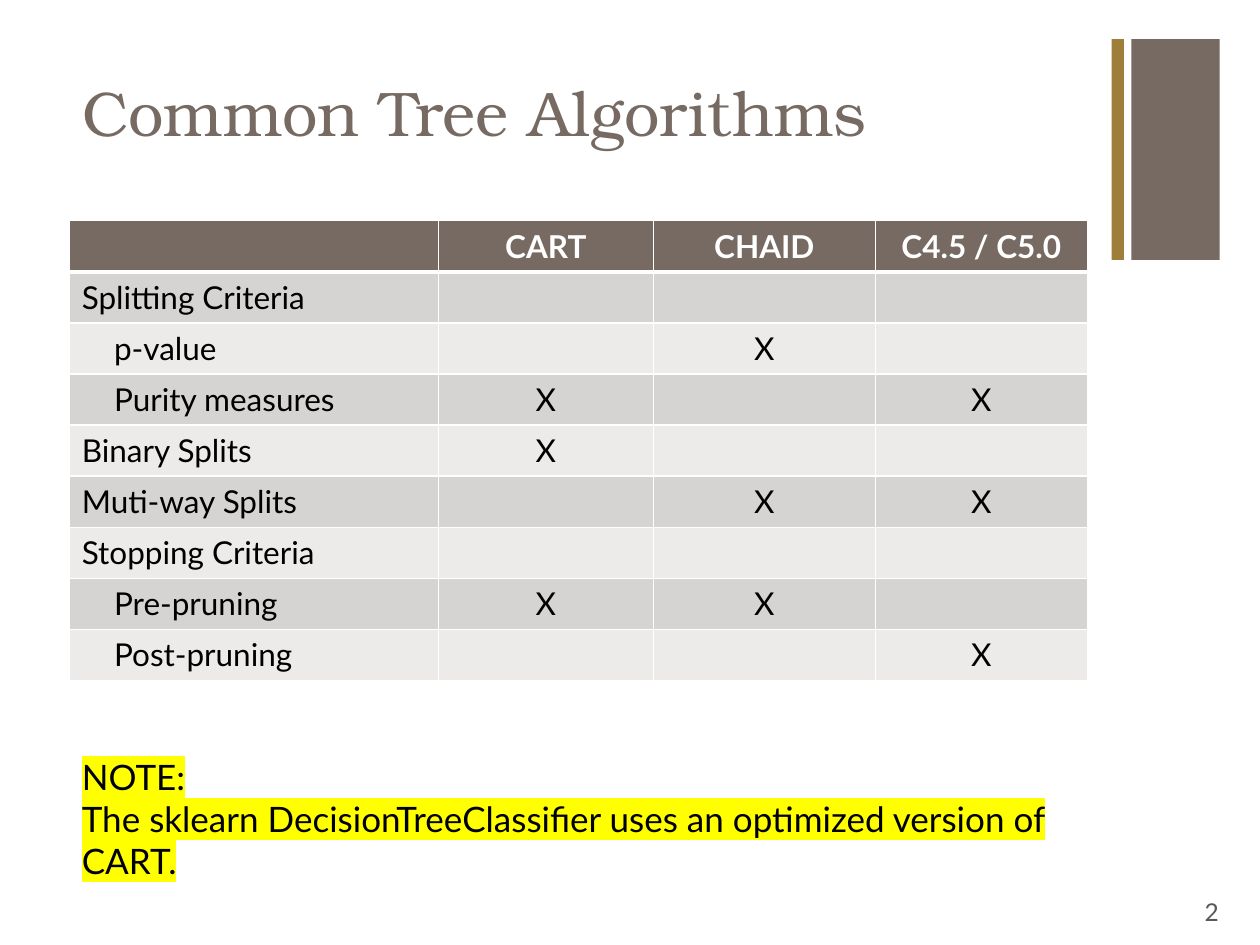
from dataclasses import dataclass

from lxml.etree import SubElement
from pptx import Presentation
from pptx.dml.color import RGBColor
from pptx.enum.shapes import MSO_SHAPE as Preset
from pptx.enum.text import MSO_ANCHOR as Anchor, PP_ALIGN as Align
from pptx.oxml import parse_xml
from pptx.oxml.ns import nsdecls, qn
from pptx.util import Cm, Pt

COLORS = {
    "brown": "766A62",
    "gold": "9E7E38",
    "band_dark": "D6D4D3",
    "band_light": "ECEBEA",
    "white": "FFFFFF",
    "black": "000000",
    "gray": "595959",
    "yellow": "FFFF00",
}
BODY_FONT = "Lato"
TITLE_FONT = "TeX Gyre Bonum"
LEFT = 1.4
CELL_MARGIN = 0.25
SUB_INDENT = 0.65


@dataclass(frozen=True)
class Box:
    left: float
    top: float
    width: float
    height: float

    def emu(self) -> tuple:
        return Cm(self.left), Cm(self.top), Cm(self.width), Cm(self.height)


@dataclass(frozen=True)
class Criterion:
    label: str
    marks: str
    sub: bool = False

    def texts(self) -> list[str]:
        return [self.label] + [mark.replace("-", "") for mark in self.marks]


ALGORITHMS = ["", "CART", "CHAID", "C4.5 / C5.0"]
CRITERIA = [
    Criterion("Splitting Criteria", "---"),
    Criterion("p-value", "-X-", sub=True),
    Criterion("Purity measures", "X-X", sub=True),
    Criterion("Binary Splits", "X--"),
    Criterion("Muti-way Splits", "-XX"),
    Criterion("Stopping Criteria", "---"),
    Criterion("Pre-pruning", "XX-", sub=True),
    Criterion("Post-pruning", "--X", sub=True),
]
COLUMN_WIDTHS = [7.44, 4.33, 4.48, 4.27]
ROW_HEIGHT = 1.03
NOTE = [
    "NOTE:",
    "The sklearn DecisionTreeClassifier uses an optimized version of CART.",
]


def rgb(name: str) -> RGBColor:
    return RGBColor.from_string(COLORS[name])


def style(paragraph, size: int, color: str, face: str = BODY_FONT,
          align: Align = Align.LEFT, bold: bool = False) -> None:
    paragraph.alignment = align
    font = paragraph.font
    font.size, font.name, font.bold = Pt(size), face, bold
    font.color.rgb = rgb(color)


def add_bar(slide, box: Box, color: str) -> None:
    bar = slide.shapes.add_shape(Preset.RECTANGLE, *box.emu())
    bar.shadow.inherit = False
    bar.fill.solid()
    bar.fill.fore_color.rgb = rgb(color)
    bar.line.fill.background()


def set_borders(cell, bottom_width: int) -> None:
    widths = {"lnL": 1, "lnR": 1, "lnT": 1, "lnB": bottom_width}
    properties = cell._tc.get_or_add_tcPr()
    for position, (side, width) in enumerate(widths.items()):
        properties.insert(position, parse_xml(
            f'<a:{side} {nsdecls("a")} w="{Pt(width)}"><a:solidFill>'
            f'<a:srgbClr val="{COLORS["white"]}"/></a:solidFill></a:{side}>'))


def fill_row(row, texts: list[str], fill: str, color: str,
             header: bool = False, sub: bool = False) -> None:
    for column, (cell, text) in enumerate(zip(row.cells, texts)):
        cell.fill.solid()
        cell.fill.fore_color.rgb = rgb(fill)
        set_borders(cell, 3 if header else 1)
        cell.margin_left = Cm(CELL_MARGIN + SUB_INDENT * (sub and column == 0))
        cell.text = text
        style(cell.text_frame.paragraphs[0], 18, color,
              align=Align.CENTER if column else Align.LEFT, bold=header)


def add_comparison(slide) -> None:
    box = Box(LEFT, 4.45, sum(COLUMN_WIDTHS), ROW_HEIGHT * (len(CRITERIA) + 1))
    table = slide.shapes.add_table(
        len(CRITERIA) + 1, len(ALGORITHMS), *box.emu()).table
    table.horz_banding = False
    for column, width in zip(table.columns, COLUMN_WIDTHS):
        column.width = Cm(width)
    for row in table.rows:
        row.height = Cm(ROW_HEIGHT)
    fill_row(table.rows[0], ALGORITHMS, "brown", "white", header=True)
    for index, criterion in enumerate(CRITERIA):
        fill_row(table.rows[index + 1], criterion.texts(),
                 "band_light" if index % 2 else "band_dark", "black",
                 sub=criterion.sub)


def add_text(slide, box: Box, lines: list[str], size: int, color: str,
             align: Align = Align.LEFT, anchor: Anchor = Anchor.TOP,
             highlight: str = "") -> None:
    frame = slide.shapes.add_textbox(*box.emu()).text_frame
    frame.word_wrap = True
    frame.vertical_anchor = anchor
    frame.text = "\n".join(lines)
    for paragraph in frame.paragraphs:
        style(paragraph, size, color, align=align)
        if highlight:
            for run in paragraph.runs:
                mark = SubElement(run._r.get_or_add_rPr(), qn("a:highlight"))
                SubElement(mark, qn("a:srgbClr"), val=COLORS[highlight])


def set_title(slide, text: str) -> None:
    title = slide.shapes.title
    title.left, title.top, title.width, title.height = Box(
        LEFT, 1.35, 20.98, 3.1).emu()
    title.text_frame.text = text
    title.text_frame.vertical_anchor = Anchor.TOP
    style(title.text_frame.paragraphs[0], 36, "brown", TITLE_FONT)


def main() -> None:
    deck = Presentation()
    deck.slide_width, deck.slide_height = Cm(25.4), Cm(19.05)
    slide = deck.slides.add_slide(deck.slide_layouts[5])
    add_bar(slide, Box(22.81, 0.79, 1.78, 4.45), "brown")
    add_bar(slide, Box(22.41, 0.79, 0.25, 4.45), "gold")
    set_title(slide, "Common Tree Algorithms")
    add_comparison(slide)
    add_text(slide, Box(23.27, 17.86, 1.55, 1.02), ["2"], 14, "gray",
             align=Align.RIGHT, anchor=Anchor.MIDDLE)
    add_text(slide, Box(LEFT, 15.11, 21.97, 1.96), NOTE, 20, "black",
             highlight="yellow")
    deck.save("out.pptx")


if __name__ == "__main__":
    main()
